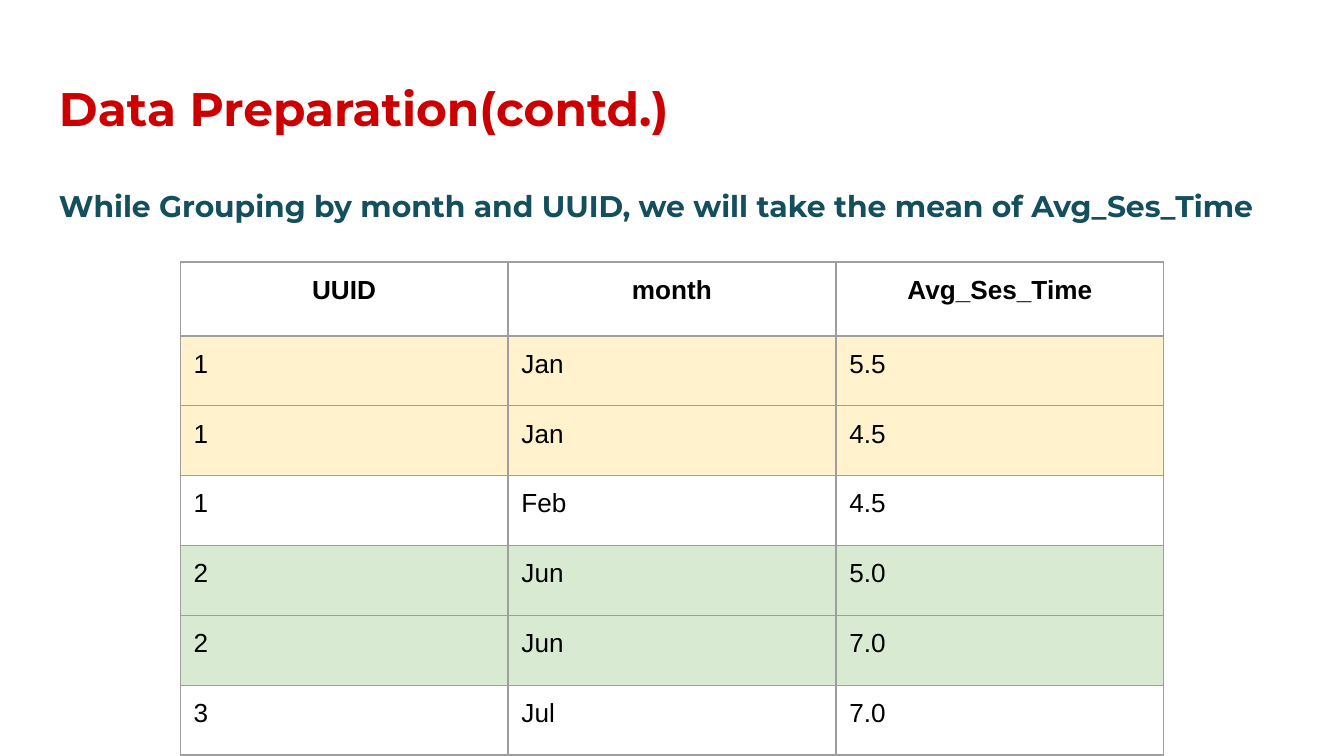
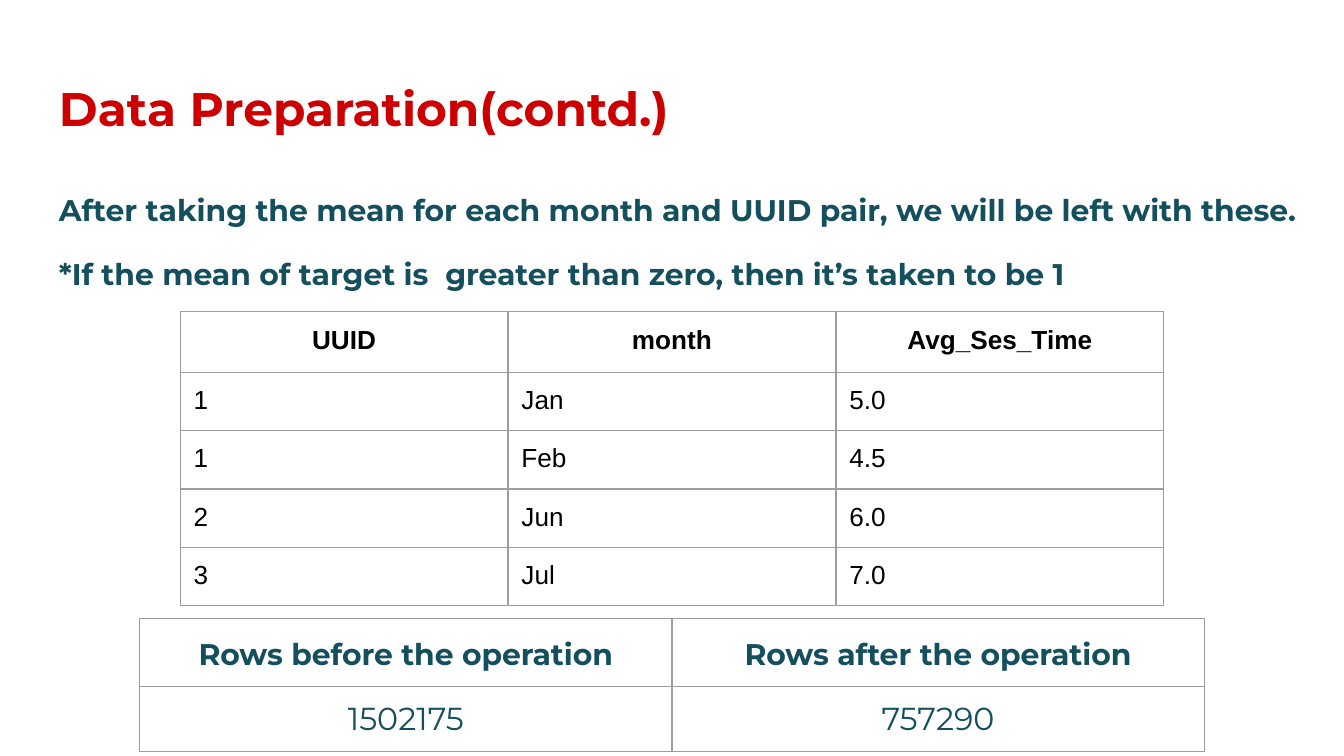
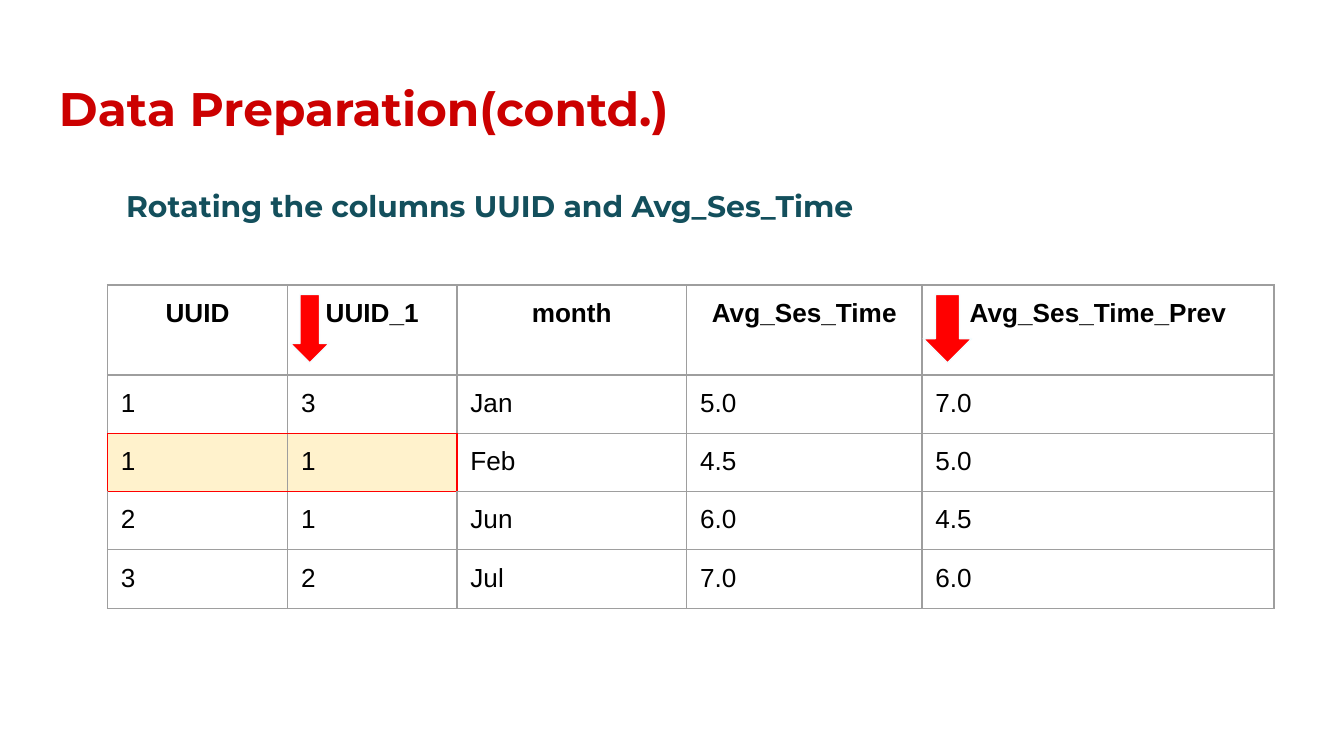
from pptx import Presentation
from pptx.dml.color import RGBColor
from pptx.enum.shapes import MSO_SHAPE as Shape
from pptx.enum.text import MSO_AUTO_SIZE as Fit, PP_ALIGN as Align
from pptx.oxml.ns import qn
from pptx.util import Inches, Pt
from lxml.etree import SubElement

# Shared style
RED = RGBColor(0xCC, 0x00, 0x00)
TEAL = RGBColor(0x13, 0x4F, 0x5C)
BLACK = RGBColor(0x00, 0x00, 0x00)
GREY = RGBColor(0x9E, 0x9E, 0x9E)
MARK = RGBColor(0xFF, 0x00, 0x00)
PALE = RGBColor(0xF5, 0xFD, 0xFF)
CREAM = RGBColor(0xFF, 0xF2, 0xCC)
GREEN = RGBColor(0xD9, 0xEA, 0xD3)
HEAD, BODY = "Montserrat", "Arial"
INSET = Inches(0.1)
WIDE = Inches(10)
SIDES = {"lnL": (0, -1), "lnR": (0, 1), "lnT": (-1, 0), "lnB": (1, 0)}

# Content
TITLE = "Data Preparation(contd.)"
GROUP = "While Grouping by month and UUID, we will take the mean of Avg_Ses_Time"
MEAN = [
    "After taking the mean for each month and UUID pair, we will be left with these.",
    "*If the mean of target is  greater than zero, then it’s taken to be 1",
]
ROTATE = "Rotating the columns UUID and Avg_Ses_Time"
FIELDS = ("UUID", "month", "Avg_Ses_Time")
RAW = [
    FIELDS,
    ("1", "Jan", "5.5"),
    ("1", "Jan", "4.5"),
    ("1", "Feb", "4.5"),
    ("2", "Jun", "5.0"),
    ("2", "Jun", "7.0"),
    ("3", "Jul", "7.0"),
]
MEANS = [
    FIELDS,
    ("1", "Jan", "5.0"),
    ("1", "Feb", "4.5"),
    ("2", "Jun", "6.0"),
    ("3", "Jul", "7.0"),
]
COUNTS = [
    ("Rows before the operation", "Rows after the operation"),
    ("1502175", "757290"),
]
SHIFTED = [
    ("UUID", "UUID_1", "month", "Avg_Ses_Time", "Avg_Ses_Time_Prev"),
    ("1", "3", "Jan", "5.0", "7.0"),
    ("1", "1", "Feb", "4.5", "5.0"),
    ("2", "1", "Jun", "6.0", "4.5"),
    ("3", "2", "Jul", "7.0", "6.0"),
]
ARROWS = [(2.16, 0.29), (6.87, 0.36)]  # left, width


def style(para, size, color, font=HEAD, bold=True):
    for run in para.runs:
        run.font.size = Pt(size)
        run.font.name = font
        run.font.bold = bold
        run.font.color.rgb = color


def add_text(slide, box, lines, size, color):
    shape = slide.shapes.add_textbox(*map(Inches, box))
    frame = shape.text_frame
    frame.word_wrap = True
    frame.margin_left = frame.margin_right = INSET
    frame.margin_top = frame.margin_bottom = INSET
    frame.text = "\n".join(lines)
    for para in frame.paragraphs:
        style(para, size, color)
    return frame


def add_note(slide, box, lines, first=12):
    frame = add_text(slide, box, lines, 16, TEAL)
    for i, para in enumerate(frame.paragraphs):
        para.line_spacing = 1.15
        para.space_before = Pt(12 if i else first)
    return frame


def add_edge(cell, side, color):
    line = SubElement(cell._tc.get_or_add_tcPr(), qn("a:" + side), w=str(Pt(0.75)))
    fill = SubElement(line, qn("a:solidFill"))
    SubElement(fill, qn("a:srgbClr"), val=str(color))


def add_table(slide, left, top, cols, heights, data, fills=None, ring=False):
    """fills maps (row, column) to a colour; ring draws a red line round them."""
    fills = fills or {}
    frame = slide.shapes.add_table(
        len(data), len(cols), Inches(left), Inches(top),
        Inches(sum(cols)), Inches(sum(heights)))
    table = frame.table
    table.first_row = table.horz_banding = False
    for col, width in zip(table.columns, cols):
        col.width = Inches(width)
    for row, height in zip(table.rows, heights):
        row.height = Inches(height)
    for r, row in enumerate(data):
        for c, text in enumerate(row):
            cell = table.cell(r, c)
            cell.margin_left = cell.margin_right = INSET
            cell.margin_top = cell.margin_bottom = INSET
            for side, (down, over) in SIDES.items():
                near = (r + down, c + over)
                rim = ring and ((r, c) in fills) != (near in fills)
                add_edge(cell, side, MARK if rim else GREY)
            if (r, c) in fills:
                cell.fill.solid()
                cell.fill.fore_color.rgb = fills[r, c]
            else:
                cell.fill.background()
            para = cell.text_frame.paragraphs[0]
            para.text = text
            para.alignment = Align.LEFT if r else Align.CENTER
            style(para, 14, BLACK, BODY, bold=r == 0)
    return table


def add_slide(deck):
    slide = deck.slides.add_slide(deck.slide_layouts[6])
    add_text(slide, (0.34, 0.49, 9.32, 0.63), [TITLE], 25.2, RED)
    return slide


def main():
    deck = Presentation()
    deck.slide_width, deck.slide_height = WIDE, WIDE * 9 // 16
    thirds = [2.44] * 3
    body = (0.34, 1.26, 9.32, 3.74)

    # Grouping by month and UUID
    slide = add_slide(deck)
    add_note(slide, body, [GROUP])
    bands = {1: CREAM, 2: CREAM, 4: GREEN, 5: GREEN}
    fills = {(r, c): color for r, color in bands.items() for c in range(3)}
    add_table(slide, 1.34, 1.95, thirds, [0.55] + [0.52] * 6, RAW, fills)

    # Means, with row counts before and after
    slide = add_slide(deck)
    add_table(slide, 1.34, 2.32, thirds, [0.45] + [0.33, 0.36] * 2, MEANS)
    note = add_note(slide, (0.34, 1.29, 9.66, 1.4), MEAN, first=6)
    note.auto_size = Fit.SHAPE_TO_FIT_TEXT
    counts = add_table(slide, 1.04, 4.6, [3.96] * 2, [0.42] * 2, COUNTS)
    for i, cell in enumerate(counts.iter_cells()):
        para = cell.text_frame.paragraphs[0]
        para.alignment = Align.CENTER
        top = i < len(COUNTS[0])
        style(para, 16 if top else 17, TEAL, bold=top)
        if top:
            para.line_spacing = 1.15

    # Rotated columns
    slide = add_slide(deck)
    note = add_note(slide, body, [ROTATE])
    props = note.paragraphs[0]._p.get_or_add_pPr()
    props.set("marL", "0")
    props.set("indent", str(Inches(0.5)))
    add_table(slide, 0.8, 2.12, [1.34, 1.26, 1.71, 1.75, 2.62],
              [0.67] + [0.43] * 4, SHIFTED,
              {(2, 0): CREAM, (2, 1): CREAM}, ring=True)
    for left, width in ARROWS:
        arrow = slide.shapes.add_shape(
            Shape.DOWN_ARROW, Inches(left), Inches(2.19), Inches(width), Inches(0.51))
        arrow.shadow.inherit = False
        arrow.fill.solid()
        arrow.fill.fore_color.rgb = MARK
        arrow.line.color.rgb = PALE
        arrow.line.width = Pt(0.75)

    deck.save("out.pptx")


if __name__ == "__main__":
    main()
